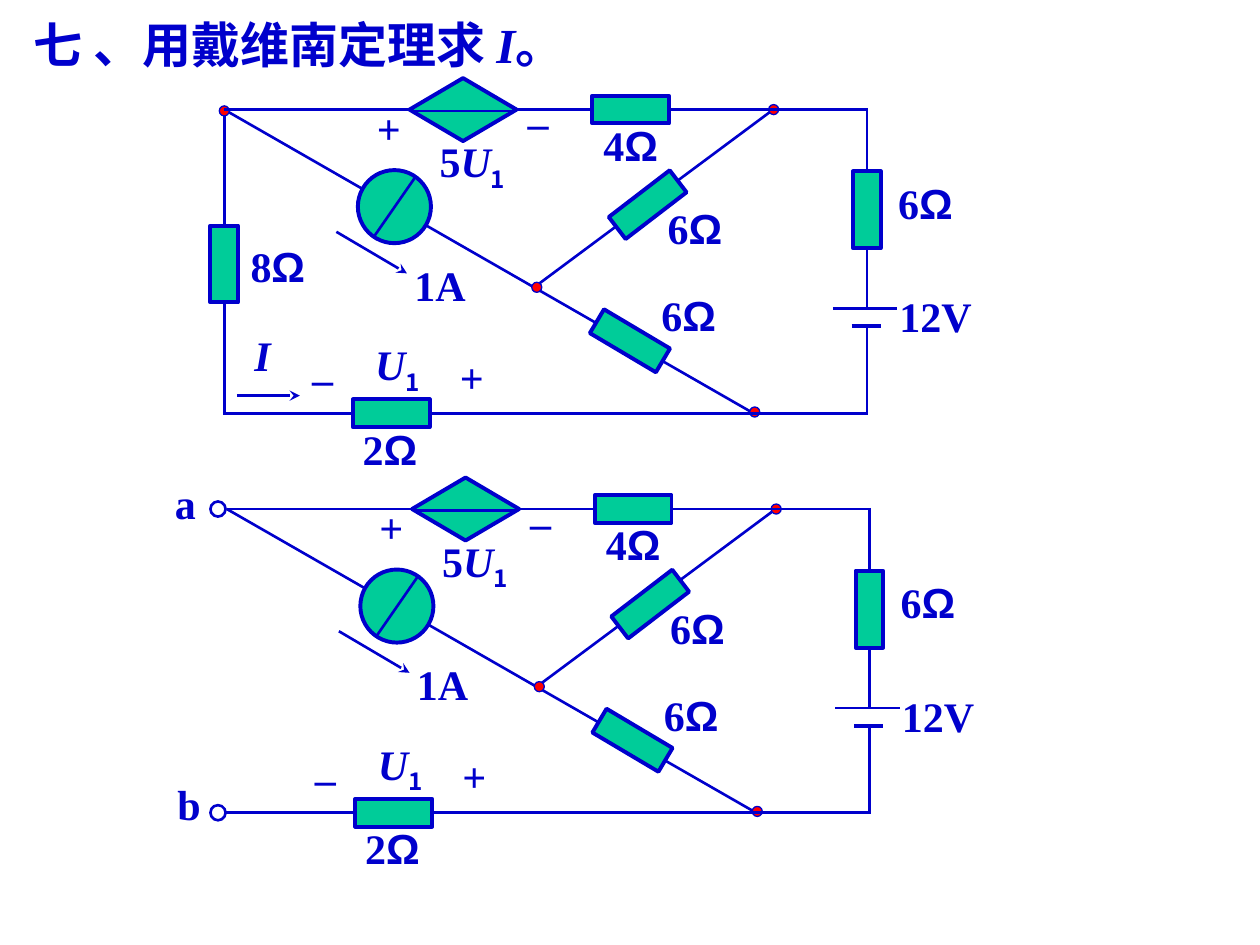
import pptx
import pptx.util
import pptx.dml.color
import pptx.enum.shapes
import pptx.enum.text
import pptx.oxml.ns
import lxml.etree

PX = 9144  # 100 px to the inch
COLORS = {"ink": "0000CC", "part": "00CC99", "node": "FF0000"}
RGB = {key: pptx.dml.color.RGBColor.from_string(value) for key, value in COLORS.items()}
KINDS = pptx.enum.shapes.MSO_SHAPE
SERIF, SANS, CJK = "Times New Roman", "Arial", "Noto Sans CJK SC"

deck = pptx.Presentation()
deck.slide_width, deck.slide_height = 1000 * PX, 750 * PX
slide = deck.slides.add_slide(deck.slide_layouts[6])


def write(runs, x, y, w, h=50, size=24, centered=False):
    """Runs are (text, font, italic, subscript) tuples."""
    box = slide.shapes.add_textbox(x * PX, y * PX, w * PX, h * PX)
    frame = box.text_frame
    frame.word_wrap = not centered
    frame.auto_size = pptx.enum.text.MSO_AUTO_SIZE.SHAPE_TO_FIT_TEXT
    paragraph = frame.paragraphs[0]
    if centered:
        frame.vertical_anchor = pptx.enum.text.MSO_ANCHOR.MIDDLE
        paragraph.alignment = pptx.enum.text.PP_ALIGN.CENTER
    for text, font, italic, subscript in runs:
        run = paragraph.add_run()
        run.text = text
        run.font.name = font
        run.font.size = pptx.util.Pt(size)
        run.font.bold = True
        run.font.italic = italic
        run.font.color.rgb = RGB["ink"]
        if subscript:
            run.font._element.set("baseline", "-25000")


def wire(x1, y1, x2, y2, width=1.5, arrow=False):
    link = slide.shapes.add_connector(
        pptx.enum.shapes.MSO_CONNECTOR.STRAIGHT, x1 * PX, y1 * PX, x2 * PX, y2 * PX)
    link.line.color.rgb = RGB["ink"]
    link.line.width = pptx.util.Pt(width)
    if arrow:
        lxml.etree.SubElement(link.line._get_or_add_ln(),
                              pptx.oxml.ns.qn("a:tailEnd"), type="stealth")
    lxml.etree.SubElement(link._element.spPr, pptx.oxml.ns.qn("a:effectLst"))
    return link


# Positions below are those of the upper circuit; the lower one is shifted
THROUGH_WIRES = [(178, 87, 598, 328), (615, 86, 424, 228)]
COMPONENTS = {  # kind, x, y, w, h, rotation
    "source 5U1": (KINDS.DIAMOND, 325, 62, 85, 50, 0),
    "source 1A": (KINDS.OVAL, 284, 135, 58, 58, 0),
    "bottom 2Ω": (KINDS.RECTANGLE, 280, 317, 61, 22, 0),
    "top 4Ω": (KINDS.RECTANGLE, 470, 76, 61, 22, 0),
    "right 6Ω": (KINDS.RECTANGLE, 677, 136, 22, 61, 0),
    "lower 6Ω": (KINDS.RECTANGLE, 489, 240, 22, 61, 300.7),
    "upper 6Ω": (KINDS.RECTANGLE, 503, 132, 22, 61, 52.5),
}
JOINED_WIRES = [  # ends, component and side at start, component and side at end
    ((178, 87, 325, 87), None, ("source 5U1", 1)),
    ((410, 87, 470, 87), ("source 5U1", 3), ("top 4Ω", 1)),
    ((531, 87, 688, 87), ("top 4Ω", 3), None),
    ((688, 86, 688, 136), None, ("right 6Ω", 0)),
    ((688, 197, 688, 245), ("right 6Ω", 2), None),
    ((177, 328, 280, 328), None, ("bottom 2Ω", 1)),
    ((341, 328, 688, 328), ("bottom 2Ω", 3), None),
]
PLAIN_WIRES = [  # ends, line width
    ((688, 259, 688, 329), 1.5),
    ((661, 245, 712, 245), 1.5),   # battery, long plate
    ((676, 259, 699, 259), 2.25),  # battery, short plate
    ((327, 88, 407, 88), 1.5),
    ((330, 140, 296, 189), 1.5),
]
NODES = [(595, 323), (610, 83), (422, 224)]
OHM_LABELS = [("2", 278, 331, 71), ("4", 469, 90, 77), ("6", 520, 156, 73),
              ("6", 515, 225, 78), ("6", 703, 136, 83)]
U1 = [("U", SERIF, True, False), ("1", CJK, False, True)]
SIGNS = [("+", 289, 76, 39), ("–", 409, 72, 36), ("+", 355, 274, 39), ("–", 238, 275, 36)]

# Title
write([("七 、用戴维南定理求 ", SERIF, False, False), ("I", SERIF, True, False),
       ("。", SERIF, False, False)], 17, 7, 466, 57, size=28)

for dx, dy, is_open in [(0, 0, False), (2, 317, True)]:
    shift = (dx, dy, dx, dy)
    nodes, ohm_labels = list(NODES), list(OHM_LABELS)
    through_wires, components = list(THROUGH_WIRES), dict(COMPONENTS)

    # The 8Ω branch closes the upper circuit only
    if not is_open:
        nodes.append((174, 84))
        ohm_labels.append(("8", 189, 186, 77))
        through_wires.append((178, 86, 178, 328))
        components["left 8Ω"] = (KINDS.RECTANGLE, 167, 179, 22, 61, 0)

    # Wires that run behind components
    for ends in through_wires:
        wire(*[a + b for a, b in zip(ends, shift)])

    # Components, nodes and open terminals
    outlines = [(name, *values, "part", 2.25) for name, values in components.items()]
    outlines += [("node", KINDS.OVAL, x, y, 8, 8, 0, "node", 0.75) for x, y in nodes]
    if is_open:
        outlines += [("terminal", KINDS.OVAL, 165, y, 12, 12, 0, None, 1.5) for y in (81, 322)]
    placed = {}
    for name, kind, x, y, w, h, rotation, fill, width in outlines:
        part = slide.shapes.add_shape(kind, (x + dx) * PX, (y + dy) * PX, w * PX, h * PX)
        part.rotation = rotation
        part.shadow.inherit = False
        if fill:
            part.fill.solid()
            part.fill.fore_color.rgb = RGB[fill]
        else:
            part.fill.background()
        part.line.color.rgb = RGB["ink"]
        part.line.width = pptx.util.Pt(width)
        placed[name] = part

    # Wires joined to components, then plates and inner strokes
    for ends, start, end in JOINED_WIRES:
        link = wire(*[a + b for a, b in zip(ends, shift)])
        if start:
            link.begin_connect(placed[start[0]], start[1])
        if end:
            link.end_connect(placed[end[0]], end[1])
    for ends, width in PLAIN_WIRES:
        wire(*[a + b for a, b in zip(ends, shift)], width=width)

    # Current direction of the 1A source
    wire(267 + dx, 184 + dy, 323 + dx, 217 + dy, arrow=True)

    # Labels
    for value, x, y, w in ohm_labels:
        write([(value, SERIF, False, False), ("Ω", SANS, False, False)], x + dx, y + dy, w)
    write([("5", SERIF, False, False)] + U1, 339 + dx, 103 + dy, 78, 56)
    write(U1, 288 + dx, 264 + dy, 60, 56)
    for text, x, y, w in [("1A", 319, 201, 62), ("12V", 704, 226, 91)]:
        write([(text, SERIF, False, False)], x + dx, y + dy, w)
    for sign, x, y, w in SIGNS:
        write([(sign, SERIF, False, False)], x + dx, y + dy, w, centered=True)

# Current I in the upper circuit
wire(188, 314, 238, 314, arrow=True)
write([("I", SERIF, True, False)], 192, 257, 34)

# Terminal names in the lower circuit
for name, x, y, w in [("a", 129, 374, 36), ("b", 131, 613, 38)]:
    write([(name, SERIF, False, False)], x, y, w, centered=True)

deck.save("out.pptx")
